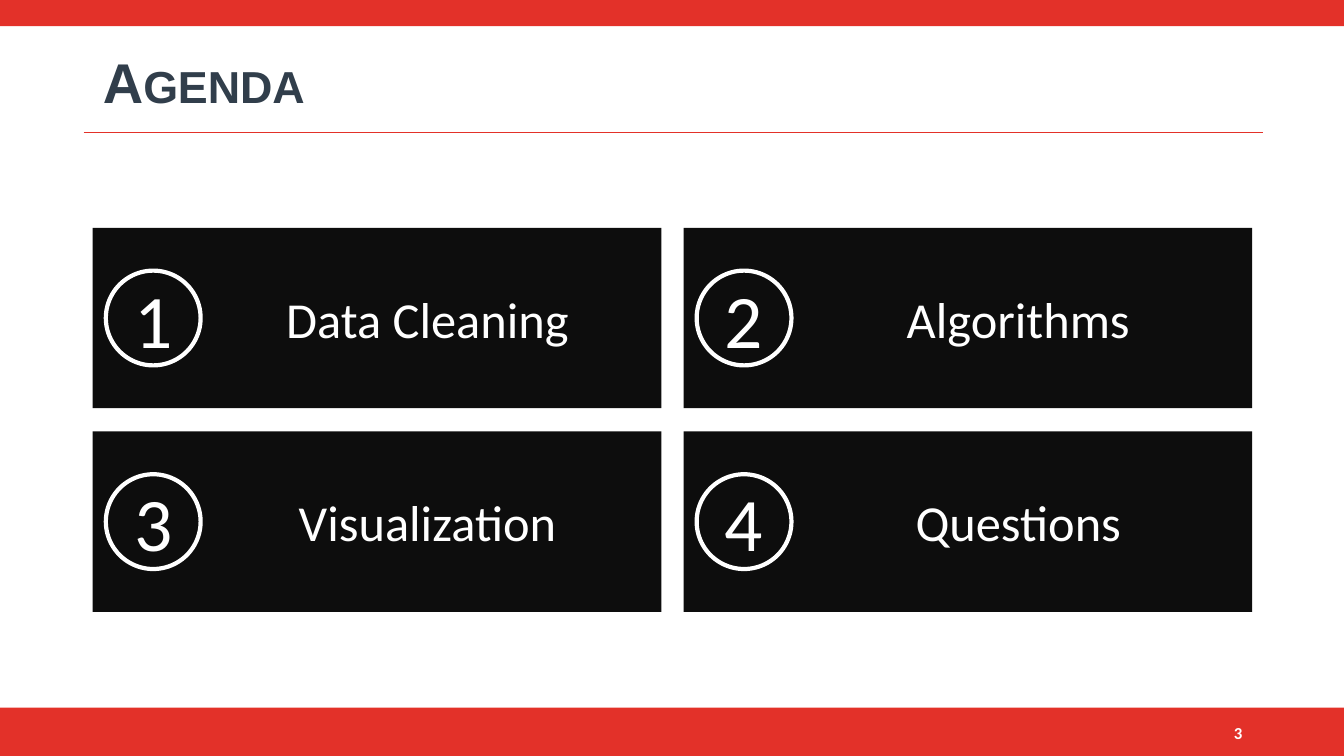
from dataclasses import dataclass

from pptx import Presentation, oxml, util as u
from pptx.dml import color
from pptx.enum import shapes, text

COLORS = {"red": "E33129", "slate": "313E4B", "black": "0D0D0D", "white": "FFFFFF"}
CARD_WIDTH, CARD_HEIGHT = 5.64, 1.79
CIRCLE_SIZE = 0.94
COLUMN_STEP, ROW_STEP = 5.86, 2.02


@dataclass
class Card:
    number: int
    label: str
    left: float
    top: float


def rgb(name: str) -> color.RGBColor:
    return color.RGBColor.from_string(COLORS[name])


def add_text(shape, content: str, size: float, font_name: str, color_name: str,
             align=text.PP_ALIGN.CENTER, bold: bool = False):
    """Write one run, centred vertically, and return its paragraph and run."""
    shape.text_frame.word_wrap = True
    shape.text_frame.vertical_anchor = text.MSO_ANCHOR.MIDDLE
    paragraph = shape.text_frame.paragraphs[0]
    paragraph.alignment = align
    run = paragraph.add_run()
    run.text = content
    run.font.size = u.Pt(size)
    run.font.name = font_name
    run.font.bold = bold
    run.font.color.rgb = rgb(color_name)
    return paragraph, run


def add_block(slide, kind, left: float, top: float, width: float, height: float,
              fill: str = "", line: str = ""):
    shape = slide.shapes.add_shape(kind, u.Inches(left), u.Inches(top),
                                   u.Inches(width), u.Inches(height))
    shape.shadow.inherit = False
    if fill:
        shape.fill.solid()
        shape.fill.fore_color.rgb = rgb(fill)
    else:
        shape.fill.background()
    if line:
        shape.line.color.rgb = rgb(line)
        shape.line.width = u.Pt(3)
    else:
        shape.line.fill.background()
    return shape


def add_frame(slide) -> None:
    """Red bands and the rule under the title."""
    rectangle = shapes.MSO_SHAPE.RECTANGLE
    add_block(slide, rectangle, 0, 0, 13.33, 0.26, fill="red")
    add_block(slide, rectangle, 0, 7.02, 13.33, 0.48, fill="red")
    rule = slide.shapes.add_connector(shapes.MSO_CONNECTOR.STRAIGHT, u.Inches(0.83),
                                      u.Inches(1.31), u.Inches(12.53), u.Inches(1.31))
    rule.line.color.rgb = rgb("red")
    rule.line.width = u.Pt(0.5)
    effects = oxml.parse_xml(
        '<a:effectLst xmlns:a="http://schemas.openxmlformats.org/drawingml/2006/main"/>')
    rule._element.spPr.append(effects)


def add_title(slide, content: str) -> None:
    title = slide.shapes.title
    title.left, title.top = u.Inches(0.92), u.Inches(0.4)
    title.width, title.height = u.Inches(11.5), u.Inches(0.9)
    paragraph, run = add_text(title, content, 40, "Arial", "slate",
                              text.PP_ALIGN.LEFT, bold=True)
    paragraph.line_spacing = 0.9
    run.font._element.set("cap", "small")


def add_page_number(slide, number: int) -> None:
    box = slide.shapes.add_textbox(u.Inches(9.42), u.Inches(7.07), u.Inches(3), u.Inches(0.4))
    add_text(box, str(number), 12, "Calibri", "white", text.PP_ALIGN.RIGHT, bold=True)


def add_card(slide, card: Card) -> None:
    panel = add_block(slide, shapes.MSO_SHAPE.RECTANGLE, card.left, card.top,
                      CARD_WIDTH, CARD_HEIGHT, fill="black")
    paragraph, _ = add_text(panel, card.label, 36, "Calibri", "white")
    # Indent keeps the label clear of the circle
    paragraph._p.get_or_add_pPr().set("marL", str(u.Inches(1)))
    circle = add_block(slide, shapes.MSO_SHAPE.OVAL, card.left + 0.13,
                       card.top + (CARD_HEIGHT - CIRCLE_SIZE) / 2,
                       CIRCLE_SIZE, CIRCLE_SIZE, line="white")
    add_text(circle, str(card.number), 54, "Calibri", "white")


def main() -> None:
    presentation = Presentation()
    presentation.slide_width, presentation.slide_height = u.Inches(13.33), u.Inches(7.5)
    slide = presentation.slides.add_slide(presentation.slide_layouts[5])

    add_frame(slide)
    add_title(slide, "Agenda")
    add_page_number(slide, 3)

    # Agenda cards in a two-by-two grid
    labels = ["Data Cleaning", "Algorithms", "Visualization", "Questions"]
    for index, label in enumerate(labels):
        row, column = divmod(index, 2)
        add_card(slide, Card(index + 1, label, 0.92 + column * COLUMN_STEP,
                             2.26 + row * ROW_STEP))

    presentation.save("out.pptx")


if __name__ == "__main__":
    main()
